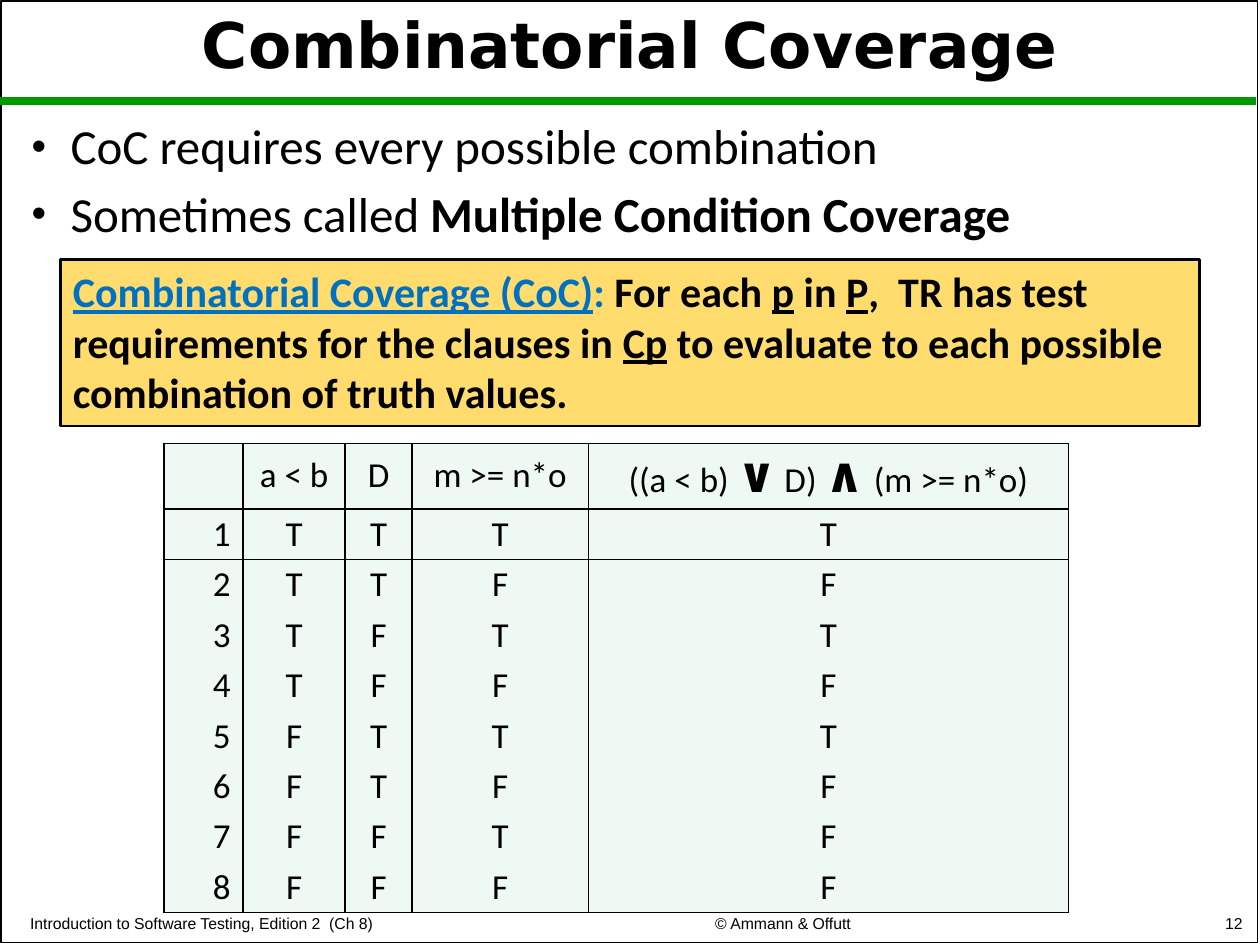
from itertools import product
from lxml import etree
from pptx import Presentation
from pptx.dml.color import RGBColor
from pptx.enum.shapes import MSO_CONNECTOR, MSO_SHAPE
from pptx.enum.text import MSO_ANCHOR, MSO_AUTO_SIZE, PP_ALIGN
from pptx.oxml import parse_xml
from pptx.oxml.ns import nsdecls, qn
from pptx.util import Inches, Pt

LINE = MSO_CONNECTOR.STRAIGHT
RECT = MSO_SHAPE.RECTANGLE
TOP, MIDDLE, BOTTOM = MSO_ANCHOR.TOP, MSO_ANCHOR.MIDDLE, MSO_ANCHOR.BOTTOM
NO_FIT = MSO_AUTO_SIZE.NONE
LEFT, CENTER, RIGHT = PP_ALIGN.LEFT, PP_ALIGN.CENTER, PP_ALIGN.RIGHT

BLACK = RGBColor(0x00, 0x00, 0x00)
GREEN = RGBColor(0x00, 0x99, 0x00)
BLUE = RGBColor(0x00, 0x70, 0xC0)
GOLD = RGBColor(0xFF, 0xDC, 0x6D)
MINT = RGBColor(0xEE, 0xF9, 0xF4)


def style(para, size, name="Calibri", bold=False, align=LEFT):
    para.alignment = align
    font = para.font
    font.size, font.name, font.bold = Pt(size), name, bold
    font.color.rgb = BLACK


def place(shape, left, top, width, height):
    shape.left, shape.top = Inches(left), Inches(top)
    shape.width, shape.height = Inches(width), Inches(height)


deck = Presentation()
deck.slide_width, deck.slide_height = Inches(10), Inches(7.5)
slide = deck.slides.add_slide(deck.slide_layouts[1])
shapes = slide.shapes

title, body = slide.placeholders
place(title, 0, 0.05, 10, 0.66)
title.text_frame.text = "Combinatorial Coverage"
title.text_frame.auto_size = NO_FIT
title.text_frame.vertical_anchor = MIDDLE
head = title.text_frame.paragraphs[0]
style(head, 36, "DejaVu Sans", True, CENTER)
head.line_spacing = 0.9

place(body, 0.15, 0.92, 9.31, 1)
frame = body.text_frame
frame.auto_size = NO_FIT
frame.text = "CoC requires every possible combination\nSometimes called "
frame.paragraphs[1].add_run().text = "Multiple Condition Coverage"
frame.paragraphs[1].runs[1].font.bold = True
for para in frame.paragraphs:
    style(para, 28)
    para.line_spacing = 0.9
    para.space_before = Pt(8.4)
    props = para._p.get_or_add_pPr()
    props.set("marL", str(Inches(0.31)))
    props.set("indent", str(Inches(-0.31)))
    etree.SubElement(props, qn("a:buSzPct")).set("val", "85000")
    etree.SubElement(props, qn("a:buChar")).set("char", "•")
    props.append(props.find(qn("a:defRPr")))

border = shapes.add_shape(RECT, Inches(0.01), Inches(0.01), Inches(9.97), Inches(7.47))
border.shadow.inherit = False
border.fill.background()
border.line.color.rgb = BLACK
border.line.width = Pt(1)

rule = shapes.add_connector(LINE, Inches(0), Inches(0.8), Inches(9.97), Inches(0.8))
rule.line.color.rgb = GREEN
rule.line.width = Pt(4.5)
etree.SubElement(rule._element.spPr, qn("a:effectLst"))

for text, left, top, width, height, align in [
    ("Introduction to Software Testing, Edition 2  (Ch 8)", 0.14, 7.12, 4.35, 0.33, LEFT),
    ("© Ammann & Offutt", 4.63, 7.11, 3.17, 0.34, CENTER),
    ("12", 7.88, 7.1, 2.08, 0.35, RIGHT),
]:
    foot = shapes.add_textbox(Inches(left), Inches(top), Inches(width), Inches(height))
    foot.text_frame.text = text
    foot.text_frame.word_wrap = True
    foot.text_frame.vertical_anchor = BOTTOM
    style(foot.text_frame.paragraphs[0], 9, "Arial", align=align)

box = shapes.add_shape(RECT, Inches(0.48), Inches(2.06), Inches(9.04), Inches(1.32))
box.shadow.inherit = False
box.fill.solid()
box.fill.fore_color.rgb = GOLD
box.line.color.rgb = BLACK
box.line.width = Pt(1.5)
box.text_frame.vertical_anchor = TOP
para = box.text_frame.paragraphs[0]
style(para, 24, bold=True)
for text, color, under in [
    ("Combinatorial Coverage (CoC)", BLUE, True),
    (": ", BLUE, False),
    ("For each ", BLACK, False),
    ("p", BLACK, True),
    (" in ", BLACK, False),
    ("P", BLACK, True),
    (",  TR has test requirements for the clauses in ", BLACK, False),
    ("Cp", BLACK, True),
    (" to evaluate to each possible combination of truth values.", BLACK, False),
]:
    run = para.add_run()
    run.text = text
    run.font.color.rgb = color
    run.font.underline = under

rows = [["", "a < b", "D", "m >= n*o", ""]]
for num, (a, d, m) in enumerate(product("TF", repeat=3), 1):
    both = "T" if "T" in (a, d) and m == "T" else "F"
    rows.append([str(num), a, d, m, both])
last = len(rows) - 1

holder = shapes.add_table(len(rows), 5, Inches(1.3), Inches(3.52), Inches(7.18), Inches(3.72))
table = holder.table
table.first_row = table.horz_banding = False
table._tbl.tblPr.find(qn("a:tableStyleId")).text = "{2D5ABB26-0587-4C30-8999-92F81FD0307C}"
for col, width in zip(table.columns, [0.63, 0.81, 0.53, 1.4, 3.81]):
    col.width = Inches(width)
for i, row in enumerate(rows):
    table.rows[i].height = Inches(0.4 if i else 0.52)
    for j, text in enumerate(row):
        cell = table.cell(i, j)
        cell.text = text
        cell.vertical_anchor = TOP if i else MIDDLE
        cell.fill.solid()
        cell.fill.fore_color.rgb = MINT
        para = cell.text_frame.paragraphs[0]
        style(para, 20, align=RIGHT if i and j == 0 else CENTER)
        para.line_spacing = 0.9
        sides = "LR" + "T" * (i < 2) + "B" * (i in (0, last))
        for k, side in enumerate(sides):
            cell._tc.tcPr.insert(k, parse_xml(
                f'<a:ln{side} {nsdecls("a")} w="{Pt(1)}"><a:solidFill>'
                f'<a:srgbClr val="{BLACK}"/></a:solidFill></a:ln{side}>'))

para = table.cell(0, 4).text_frame.paragraphs[0]
for text, size, bold in [
    ("((a < b) ", 20, False),
    ("∨", 28, True),
    (" D) ", 20, False),
    ("∧", 28, True),
    (" ", 24, False),
    ("(m >= n*o)", 20, False),
]:
    run = para.add_run()
    run.text = text
    run.font.size = Pt(size)
    run.font.bold = bold

deck.save("out.pptx")
